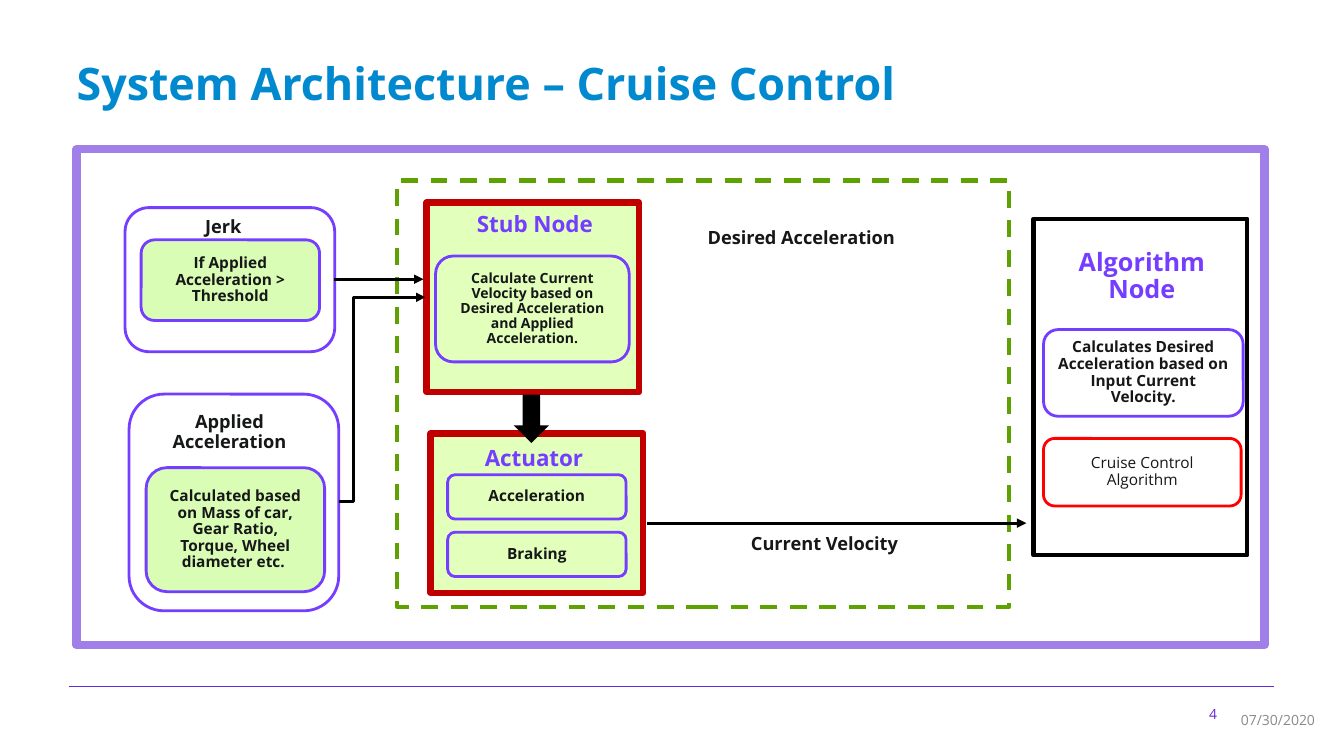
from pptx import Presentation
from pptx.dml.color import RGBColor
from pptx.enum.dml import MSO_LINE
from pptx.enum.shapes import MSO_CONNECTOR as CONN, MSO_SHAPE as SHAPE
from pptx.enum.text import MSO_ANCHOR as ANCHOR, MSO_AUTO_SIZE, PP_ALIGN as ALIGN
from pptx.oxml.ns import qn
from pptx.util import Inches, Pt
from lxml.etree import SubElement

COLORS = {
    "title": "0089CF", "text": "161718", "heading": "753DFF", "number": "622AD8",
    "date": "868B90", "frame": "A17FE8", "dash": "5DA200", "node": "C00000",
    "lime": "B0FF45", "pale": "D9FDB5", "red": "FF0000",
    "white": "FFFFFF", "black": "000000",
}
FONT = "Open Sans"


def rgb(name):
    return RGBColor.from_string(COLORS[name])


def write(shape, text, size, color="text", bold=True, align=ALIGN.CENTER,
          anchor=ANCHOR.TOP, spacing=0.9, inset=(0.1, 0.05)):
    tf = shape.text_frame
    x, y = map(Inches, inset)
    frame = {"word_wrap": True, "auto_size": MSO_AUTO_SIZE.NONE, "vertical_anchor": anchor,
             "margin_left": x, "margin_right": x, "margin_top": y, "margin_bottom": y}
    for name, value in frame.items():
        setattr(tf, name, value)
    for i, line in enumerate(text.split("\n")):
        p = tf.add_paragraph() if i else tf.paragraphs[0]
        p.alignment, p.line_spacing = align, spacing
        r = p.add_run()
        r.text = line
        for name, value in {"name": FONT, "size": Pt(size), "bold": bold}.items():
            setattr(r.font, name, value)
        r.font.color.rgb = rgb(color)


def add_label(s, box, text, size, color="text", **style):
    write(s.shapes.add_textbox(*map(Inches, box)), text, size, color, **style)


def add_box(s, box, line=None, width=2, fill=None, kind=SHAPE.RECTANGLE):
    sp = s.shapes.add_shape(kind, *map(Inches, box))
    sp.shadow.inherit = False
    if fill:
        sp.fill.solid()
        sp.fill.fore_color.rgb = rgb(fill)
    else:
        sp.fill.background()
    if line:
        sp.line.color.rgb = rgb(line)
        sp.line.width = Pt(width)
    else:
        sp.line.fill.background()
    return sp


def add_rounded(s, box, text="", size=11, line="heading", fill=None, bold=True):
    sp = add_box(s, box, line, 2, fill, SHAPE.ROUNDED_RECTANGLE)
    if text:
        write(sp, text, size, bold=bold, anchor=ANCHOR.MIDDLE)


def add_node(s, box):
    """Red-edged box with a 36 % opaque lime fill."""
    sp = add_box(s, box, "node", 4.5, "lime")
    color = sp.fill._xPr.find(qn("a:solidFill"))[0]
    SubElement(color, qn("a:alpha"), val="36000")


def add_line(s, start, end, color="black", width=2.25, arrow=True, bend=None):
    kind = CONN.ELBOW if bend else CONN.STRAIGHT
    line = s.shapes.add_connector(kind, *map(Inches, start + end))
    line.line.color.rgb = rgb(color)
    line.line.width = Pt(width)
    props = line._element.spPr
    if arrow:
        SubElement(props.find(qn("a:ln")), qn("a:tailEnd"), type="triangle")
    if bend:
        guides = props.find(qn("a:prstGeom")).get_or_add_avLst()
        SubElement(guides, qn("a:gd"), name="adj1", fmla=f"val {round(bend * 100000)}")
    SubElement(props, qn("a:effectLst"))


def add_title_and_footer(s):
    title = s.shapes.title
    for name, value in zip(("left", "top", "width", "height"), (0.76, 0.55, 11.78, 5.96)):
        setattr(title, name, Inches(value))
    write(title, "System Architecture – Cruise Control", 32, "title",
          align=ALIGN.LEFT, spacing=1, inset=(0, 0))
    add_line(s, (0.68, 6.81), (12.64, 6.81), "number", 0.75, arrow=False)
    footer = {"bold": False, "align": ALIGN.RIGHT, "anchor": ANCHOR.MIDDLE, "spacing": 1}
    add_label(s, (12.17, 7.07, 0.97, 0.14), "07/30/2020", 10, "date", **footer)
    add_label(s, (11.22, 6.95, 0.95, 0.26), "4", 10, "number", **footer)


def add_frames(s):
    add_box(s, (0.76, 1.48, 11.78, 4.92), "frame", 6, "white")
    dashed = add_box(s, (3.94, 1.79, 6.07, 4.23), "dash", 3)
    dashed.line.dash_style = MSO_LINE.DASH


def add_algorithm(s):
    add_box(s, (10.25, 2.17, 2.12, 3.34), "black", 3, "white")
    add_label(s, (10.53, 2.43, 1.59, 0.7), "Algorithm\nNode", 18, "heading")
    add_rounded(s, (10.35, 4.35, 1.96, 0.67), "Cruise Control Algorithm",
                line="red", fill="white", bold=False)
    add_rounded(s, (10.35, 3.27, 1.98, 0.86),
                "Calculates Desired Acceleration based on Input Current Velocity.")


def add_stub_and_actuator(s):
    add_node(s, (4.23, 2.01, 2.11, 1.88))
    add_label(s, (4.2, 2.07, 2.21, 0.37), "Stub Node", 16, "heading")
    add_rounded(s, (4.32, 2.54, 1.92, 1.05), "Calculate Current Velocity based on "
                "Desired Acceleration and Applied Acceleration.", 10)
    add_node(s, (4.27, 4.3, 2.11, 1.58))
    add_label(s, (4.22, 4.39, 2.21, 0.37), "Actuator ", 16, "heading")
    for i, text in enumerate(("Acceleration", "Braking")):
        add_rounded(s, (4.44, 4.71 + 0.57 * i, 1.77, 0.44), text)
    arrow = add_box(s, (5.03, 3.98, 0.48, 0.35), fill="black", kind=SHAPE.RIGHT_ARROW)
    arrow.rotation = 90


def add_inputs(s):
    inputs = [
        ((1.28, 3.91, 2.08, 2.15), (1.48, 4.05, 1.59, 0.53), "Applied Acceleration",
         (1.45, 4.64, 1.77, 1.23),
         "Calculated based on Mass of car, Gear Ratio, Torque, Wheel diameter etc. "),
        ((1.24, 2.06, 2.08, 1.43), (1.42, 2.11, 1.59, 0.31), "Jerk",
         (1.4, 2.38, 1.77, 0.8), "If Applied Acceleration > Threshold"),
    ]
    for outer, heading, name, inner, text in inputs:
        add_rounded(s, outer)
        add_label(s, heading, name, 13)
        add_rounded(s, inner, text, fill="pale")


def add_signals(s):
    add_label(s, (6.92, 2.22, 2.31, 0.31), "Desired Acceleration", 13, align=ALIGN.LEFT)
    add_label(s, (7.35, 5.26, 1.84, 0.31), "Current Velocity", 13, align=ALIGN.LEFT)
    add_line(s, (6.42, 5.19), (10.18, 5.19))
    add_line(s, (3.31, 2.77), (4.2, 2.77))
    add_line(s, (3.36, 4.98), (4.22, 2.95), bend=0.167)


def main():
    prs = Presentation()
    prs.slide_width, prs.slide_height = Inches(13.33), Inches(7.5)
    s = prs.slides.add_slide(prs.slide_layouts[5])
    add_title_and_footer(s)
    add_frames(s)
    add_algorithm(s)
    add_stub_and_actuator(s)
    add_inputs(s)
    add_signals(s)
    prs.save("out.pptx")


if __name__ == "__main__":
    main()
